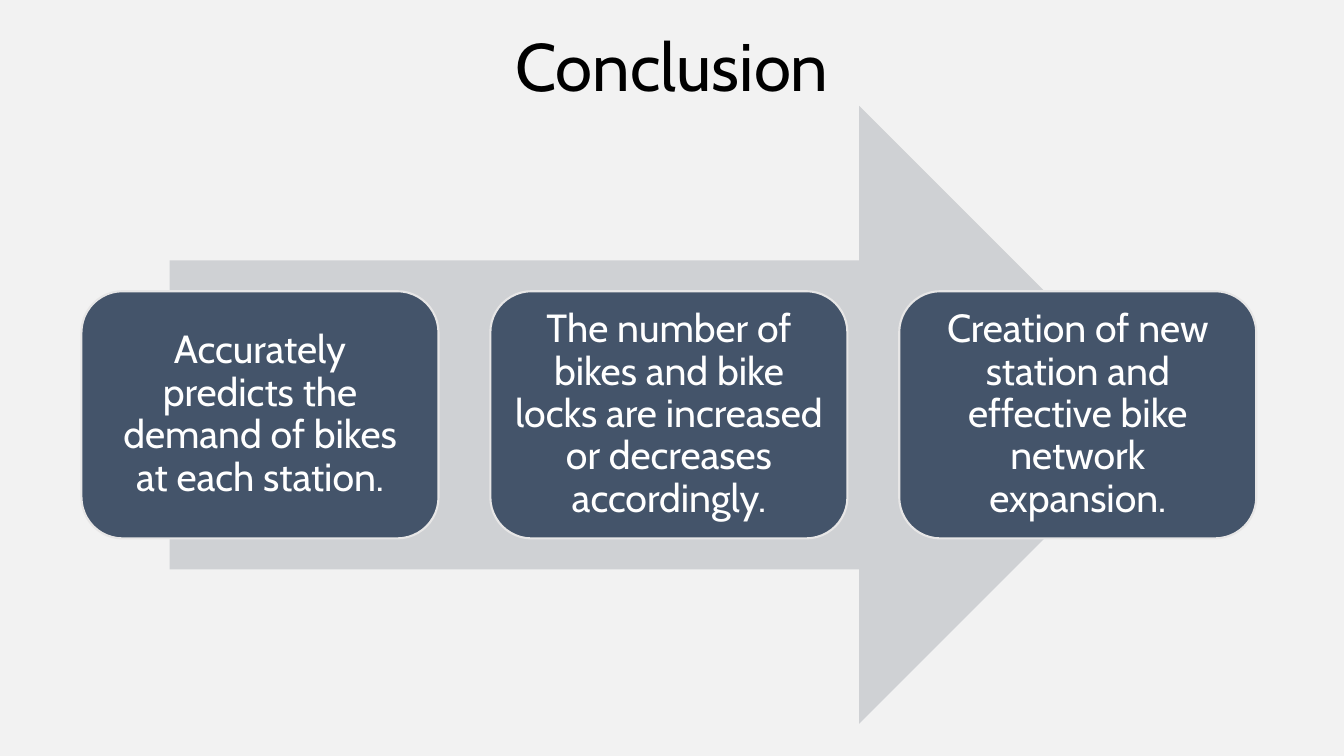
from pptx import Presentation
from pptx.dml.color import RGBColor
from pptx.enum.shapes import MSO_SHAPE as Shape
from pptx.enum.text import MSO_ANCHOR as Anchor, PP_ALIGN as Align
from pptx.util import Pt

BACKGROUND = RGBColor(0xF2, 0xF2, 0xF2)
BLACK = RGBColor(0, 0, 0)
WHITE = RGBColor(0xFF, 0xFF, 0xFF)
ARROW_GREY = RGBColor(0xCF, 0xD1, 0xD4)
CARD_BLUE = RGBColor(0x44, 0x54, 0x6A)
CARD_EDGE = RGBColor(0xE7, 0xE6, 0xE6)
FONT_NAME = "Cabin"

CONCLUSIONS = [
    "Accurately predicts the demand of bikes at each station.",
    "The number of bikes and bike locks are increased or decreases accordingly.",
    "Creation of new station and effective bike network expansion.",
]


def write_centred(shape, text, size, color):
    frame = shape.text_frame
    frame.text = text
    frame.word_wrap = True
    frame.vertical_anchor = Anchor.MIDDLE
    paragraph = frame.paragraphs[0]
    paragraph.alignment = Align.CENTER
    paragraph.line_spacing = 0.9
    font = paragraph.runs[0].font
    font.name = FONT_NAME
    font.size = Pt(size)
    font.color.rgb = color


def add_title(slide, left, top, width, height, text):
    title = slide.shapes.add_textbox(Pt(left), Pt(top), Pt(width), Pt(height))
    write_centred(title, text, 48, BLACK)


def add_block(slide, kind, left, top, width, height, color):
    block = slide.shapes.add_shape(kind, Pt(left), Pt(top), Pt(width), Pt(height))
    block.shadow.inherit = False
    block.fill.solid()
    block.fill.fore_color.rgb = color
    block.line.fill.background()
    return block


def add_card(slide, left, top, width, height, text):
    card = add_block(slide, Shape.ROUNDED_RECTANGLE, left, top, width, height, CARD_BLUE)
    card.line.color.rgb = CARD_EDGE
    card.line.width = Pt(1.5)
    frame = card.text_frame
    frame.margin_left = frame.margin_right = Pt(8.4)
    frame.margin_top = frame.margin_bottom = Pt(8.4)
    write_centred(card, text, 28, WHITE)


def add_process(slide, left, top, width, height, steps):
    arrow_width = width * 0.85
    add_block(slide, Shape.RIGHT_ARROW, left + (width - arrow_width) / 2, top,
              arrow_width, height, ARROW_GREY)
    gap = 37
    card_width = (width - gap * (len(steps) - 1)) / len(steps)
    card_height = height * 0.4
    card_top = top + (height - card_height) / 2
    for index, step in enumerate(steps):
        add_card(slide, left + index * (card_width + gap), card_top,
                 card_width, card_height, step)


def main():
    presentation = Presentation()
    presentation.slide_width = Pt(960)
    presentation.slide_height = Pt(540)
    slide = presentation.slides.add_slide(presentation.slide_layouts[6])
    slide.background.fill.solid()
    slide.background.fill.fore_color.rgb = BACKGROUND
    add_title(slide, 0, 12, 960, 75, "Conclusion")
    add_process(slide, 58.2, 75.6, 839.2, 441.4, CONCLUSIONS)
    presentation.save("out.pptx")


if __name__ == "__main__":
    main()
